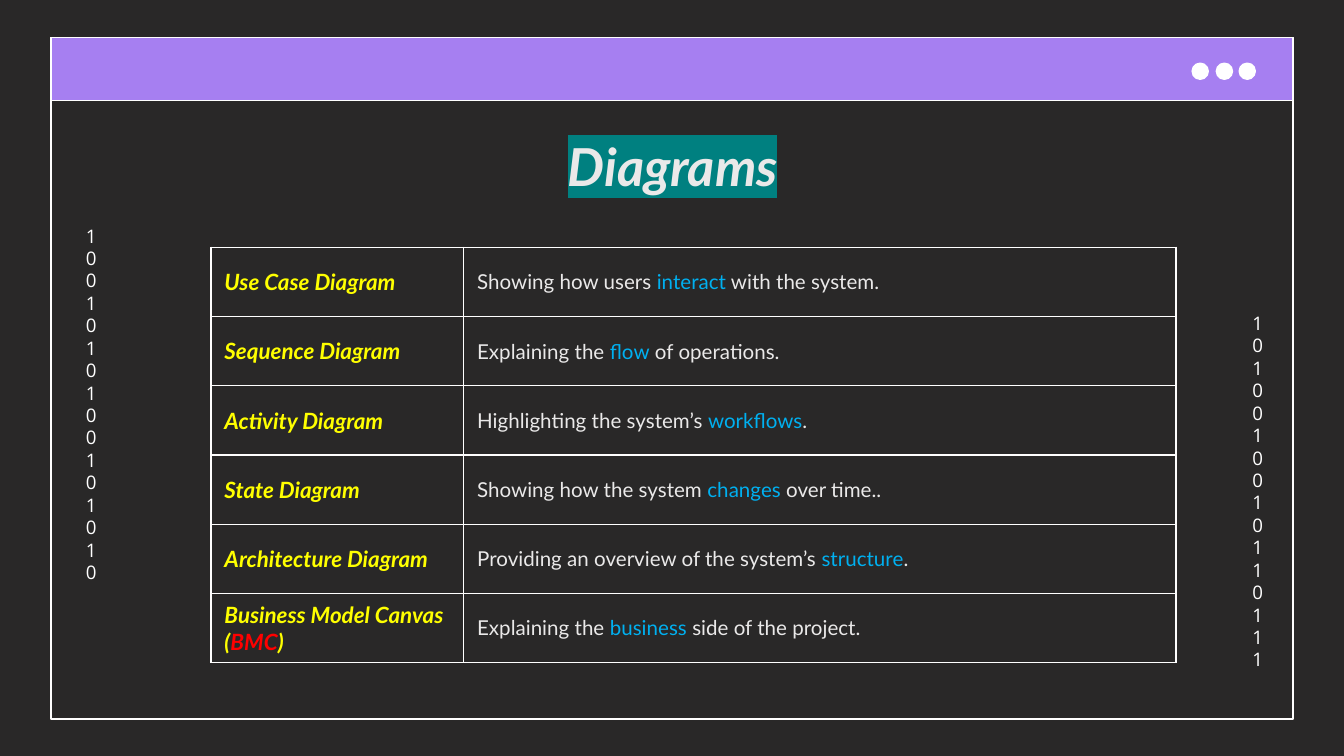
import pptx
import pptx.dml.color
import pptx.enum.shapes
import pptx.enum.text
import pptx.oxml
import pptx.oxml.ns
import pptx.util
from dataclasses import dataclass

Inches = pptx.util.Inches
Shape = pptx.enum.shapes.MSO_SHAPE
Align = pptx.enum.text.PP_ALIGN
Anchor = pptx.enum.text.MSO_ANCHOR


@dataclass(frozen=True)
class Theme:
    background: str = "292828"
    bar: str = "A67FF1"
    white: str = "FFFFFF"
    text: str = "EAE9E9"
    name: str = "FFFF00"
    accent: str = "00B0F0"
    alert: str = "FF0000"
    title_mark: str = "008080"
    font: str = "Lato"
    digit_font: str = "Open Sans"
    title_size: float = 28
    name_size: float = 12
    text_size: float = 11
    digit_size: float = 10
    line: float = 0.75


def rgb(value):
    return pptx.dml.color.RGBColor.from_string(value)


class Page:
    def __init__(self, deck, theme):
        self.theme = theme
        self.slide = deck.slides.add_slide(deck.slide_layouts[6])
        fill = self.slide.background.fill
        fill.solid()
        fill.fore_color.rgb = rgb(theme.background)

    def shape(self, kind, left, top, width, height, fill=None):
        shape = self.slide.shapes.add_shape(
            kind, Inches(left), Inches(top), Inches(width), Inches(height))
        shape.shadow.inherit = False
        if fill:
            shape.fill.solid()
            shape.fill.fore_color.rgb = rgb(fill)
        else:
            shape.fill.background()
        shape.line.color.rgb = rgb(self.theme.white)
        shape.line.width = pptx.util.Pt(self.theme.line)

    def span(self, para, text, size, color, font=None, strong=False, mark=None):
        """Add one run; strong means bold italic, mark is a highlight colour."""
        span = para.add_run()
        span.text = text
        span.font.size = pptx.util.Pt(size)
        span.font.bold = span.font.italic = strong
        span.font.color.rgb = rgb(color)
        span.font.name = font or self.theme.font
        if mark:
            highlight = pptx.oxml.parse_xml(
                f'<a:highlight {pptx.oxml.ns.nsdecls("a")}>'
                f'<a:srgbClr val="{mark}"/></a:highlight>')
            fill = span.font.fill._xPr.find(pptx.oxml.ns.qn("a:solidFill"))
            fill.addnext(highlight)

    def text(self, left, top, width, height, text, size, color, **style):
        box = self.slide.shapes.add_textbox(
            Inches(left), Inches(top), Inches(width), Inches(height))
        frame = box.text_frame
        frame.word_wrap = True
        frame.margin_left = frame.margin_right = Inches(0.1)
        frame.margin_top = frame.margin_bottom = Inches(0.1)
        para = frame.paragraphs[0]
        para.alignment = Align.CENTER
        self.span(para, text, size, color, **style)

    def cell(self, cell, spans, size, strong):
        cell.vertical_anchor = Anchor.MIDDLE
        cell.margin_left = cell.margin_right = Inches(0.1)
        cell.margin_top = cell.margin_bottom = 0
        for text, color in spans:
            self.span(cell.text_frame.paragraphs[0], text, size, color, strong=strong)
        properties = cell._tc.get_or_add_tcPr()
        for side in "LRTB":
            properties.append(pptx.oxml.parse_xml(
                f'<a:ln{side} {pptx.oxml.ns.nsdecls("a")} '
                f'w="{pptx.util.Pt(self.theme.line)}"><a:solidFill>'
                f'<a:srgbClr val="{self.theme.white}"/></a:solidFill></a:ln{side}>'))
        cell.fill.background()

    def table(self, left, top, widths, height, rows):
        """Draw rows of (name spans, description spans) with even heights."""
        table = self.slide.shapes.add_table(
            len(rows), len(widths), Inches(left), Inches(top),
            Inches(sum(widths)), Inches(height)).table
        table.first_row = table.horz_banding = False
        for column, width in zip(table.columns, widths):
            column.width = Inches(width)
        for index, (name, description) in enumerate(rows):
            self.cell(table.cell(index, 0), name, self.theme.name_size, True)
            self.cell(table.cell(index, 1), description, self.theme.text_size, False)


def main():
    theme = Theme()
    deck = pptx.Presentation()
    deck.slide_width = Inches(10)
    deck.slide_height = deck.slide_width * 9 // 16
    page = Page(deck, theme)

    # Window frame, title bar and buttons
    page.shape(Shape.RECTANGLE, 0.38, 0.28, 9.24, 5.07)
    page.shape(Shape.RECTANGLE, 0.38, 0.28, 9.24, 0.47, theme.bar)
    for left in (8.87, 9.05, 9.22):
        page.shape(Shape.OVAL, left, 0.47, 0.12, 0.12, theme.white)

    # Boxes one digit wide, so the digits stack
    for left, top, digits in ((9.22, 2.22, "1010010010110111"),
                              (0.54, 1.57, "1001010100101010")):
        page.text(left, top, 0.24, 2.8, digits, theme.digit_size, theme.white,
                  font=theme.digit_font)

    page.text(0.79, 0.9, 8.43, 0.63, "Diagrams", theme.title_size, theme.text,
              strong=True, mark=theme.title_mark)

    diagrams = (
        (("Use Case Diagram",), ("Showing how users ", "interact", " with the system.")),
        (("Sequence Diagram",), ("Explaining the ", "flow", " of operations.")),
        (("Activity Diagram",), ("Highlighting the system’s ", "workflows", ".")),
        (("State Diagram",), ("Showing how the system ", "changes", " over time..")),
        (("Architecture Diagram",),
         ("Providing an overview of the system’s ", "structure", ".")),
        (("Business Model Canvas (", "BMC", ")"),
         ("Explaining the ", "business", " side of the project.")),
    )
    name_colors = (theme.name, theme.alert, theme.name)
    text_colors = (theme.text, theme.accent, theme.text)
    rows = [(zip(name, name_colors), zip(description, text_colors))
            for name, description in diagrams]
    page.table(1.57, 1.84, (1.88, 5.3), 3.09, rows)

    deck.save("out.pptx")


if __name__ == "__main__":
    main()
